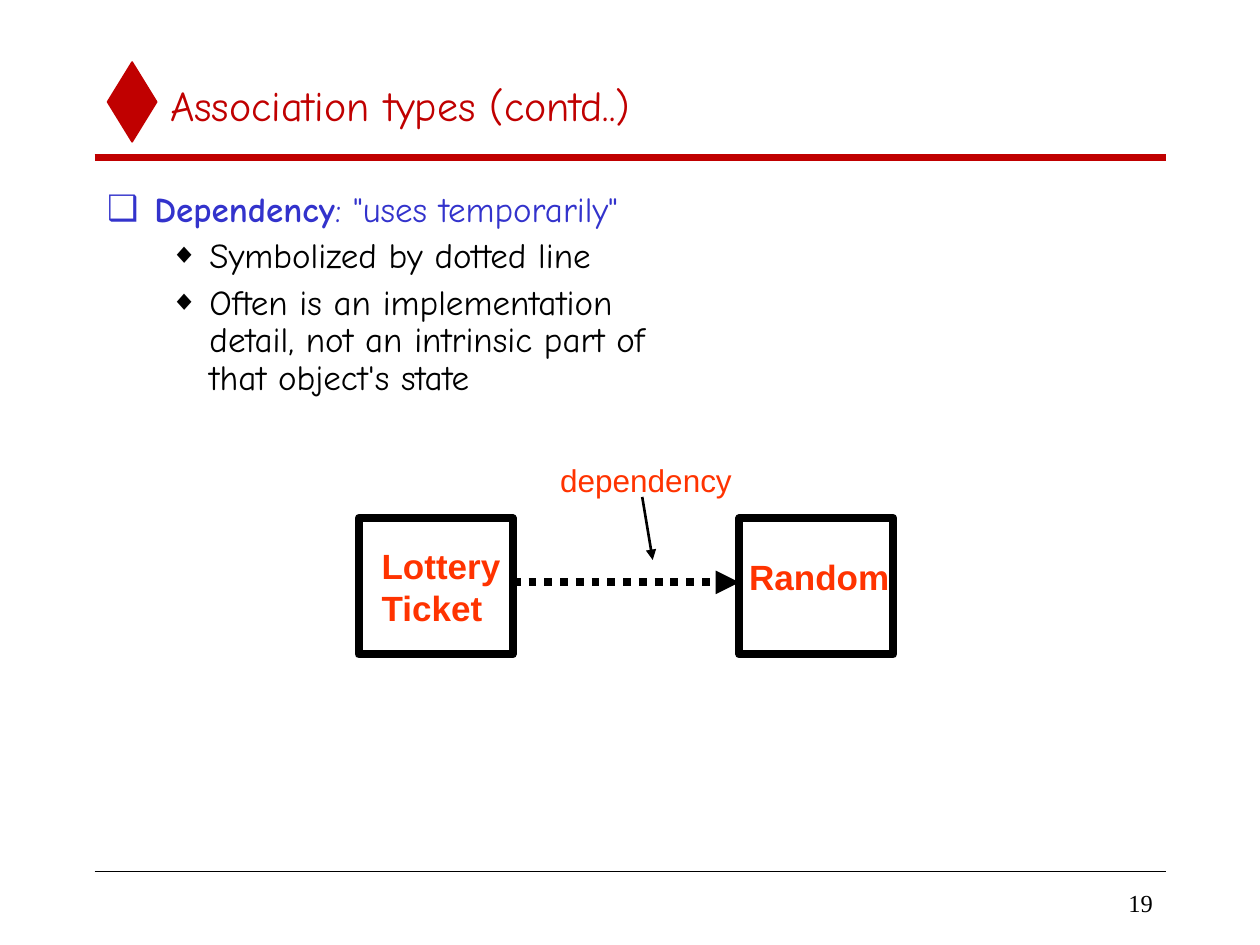
from lxml import etree
from pptx import Presentation
from pptx.dml.color import RGBColor
from pptx.enum.dml import MSO_LINE
from pptx.enum.shapes import MSO_CONNECTOR, MSO_SHAPE
from pptx.enum.text import MSO_ANCHOR, MSO_AUTO_SIZE, PP_ALIGN
from pptx.oxml.ns import qn
from pptx.util import Pt

STRAIGHT = MSO_CONNECTOR.STRAIGHT
DIAMOND, RECTANGLE = MSO_SHAPE.DIAMOND, MSO_SHAPE.RECTANGLE
DOTTED = MSO_LINE.ROUND_DOT
LEFT, RIGHT = PP_ALIGN.LEFT, PP_ALIGN.RIGHT
TOP, MIDDLE = MSO_ANCHOR.TOP, MSO_ANCHOR.MIDDLE
NO_FIT = MSO_AUTO_SIZE.NONE

RED = RGBColor(0xC0, 0x00, 0x00)
BLUE = RGBColor(0x33, 0x33, 0xCC)
ORANGE = RGBColor(0xFF, 0x33, 0x00)
BLACK = RGBColor(0x00, 0x00, 0x00)

TITLE = "Association types (contd..)"
BULLETS = [
    (0, [("Dependency", True), (': "uses temporarily"', False)]),
    (1, [("Symbolized by dotted line", False)]),
    (1, [("Often is an implementation\ndetail, not an intrinsic part of\n"
          "that object's state", False)]),
]
LEVELS = [
    dict(margin=27, hang=27, mark="❑", scale=100, color=BLUE),
    dict(margin=58.5, hang=22.5, mark="◆", scale=80, color=BLACK),
]
PAGE_NUMBER = "19"

CLASS_SIZE = (88, 78)
CLASS_TOP = 296
CLASS_LEFTS = [205, 422.5]
LABELS = [
    ("Lottery\nTicket", (211, 307.5, 91, 55), 20, True),
    ("Random", (421, 314, 102, 32), 20, True),
    ("dependency", (313, 260, 126, 29), 18, False),
]
LINK_Y = 332.8
LINES = [
    dict(start=(54, 90), end=(666, 90), color=RED, width=4),
    dict(start=(54, 498), end=(666, 498), color=BLACK, width=1),
    dict(start=(CLASS_LEFTS[0] + CLASS_SIZE[0], LINK_Y), end=(CLASS_LEFTS[1], LINK_Y),
         color=BLACK, width=4.5, dash=DOTTED, arrow=True),
    dict(start=(367, 284), end=(373, 320), color=BLACK, width=1.5, arrow=True),
]


def place(box, left, top, width, height):
    box.left, box.top, box.width, box.height = map(Pt, (left, top, width, height))


def write(para, text, *, font, size, color, bold=False):
    for index, line in enumerate(text.split("\n")):
        if index:
            para.add_line_break()
        span = para.add_run()
        span.text = line
        span.font.name = font
        span.font.size = Pt(size)
        span.font.bold = bold
        span.font.color.rgb = color


def prepare(box, anchor=TOP, wrap=True):
    frame = box.text_frame
    frame.auto_size = NO_FIT
    frame.word_wrap = wrap
    frame.vertical_anchor = anchor
    return frame


def add_label(page, text, bounds, *, align=LEFT, anchor=TOP, wrap=True, **style):
    box = page.shapes.add_textbox(*map(Pt, bounds))
    para = prepare(box, anchor, wrap).paragraphs[0]
    para.alignment = align
    write(para, text, **style)


def add_line(page, start, end, color, width, dash=None, arrow=False):
    line = page.shapes.add_connector(STRAIGHT, *map(Pt, start + end))
    line.line.color.rgb = color
    line.line.width = Pt(width)
    if dash:
        line.line.dash_style = dash
    if arrow:
        etree.SubElement(line.line._get_or_add_ln(), qn("a:tailEnd"), type="triangle")
    etree.SubElement(line._element.spPr, qn("a:effectLst"))


def add_outline(page, kind, bounds, color, width, filled=False):
    shape = page.shapes.add_shape(kind, *map(Pt, bounds))
    shape.shadow.inherit = False
    if filled:
        shape.fill.solid()
        shape.fill.fore_color.rgb = color
    else:
        shape.fill.background()
    shape.line.color.rgb = color
    shape.line.width = Pt(width)


def set_bullet(para, margin, hang, mark, scale, color):
    props = para._p.get_or_add_pPr()
    props.set("marL", str(Pt(margin)))
    props.set("indent", str(-Pt(hang)))
    tint = etree.SubElement(props, qn("a:buClr"))
    etree.SubElement(tint, qn("a:srgbClr"), val=str(color))
    etree.SubElement(props, qn("a:buSzPct"), val=str(scale * 1000))
    etree.SubElement(props, qn("a:buChar"), char=mark)


def fill_body(body):
    frame = prepare(body)
    for index, (level, spans) in enumerate(BULLETS):
        para = frame.add_paragraph() if index else frame.paragraphs[0]
        para.level = level
        para.line_spacing = 0.9
        para.space_before = Pt(5)
        set_bullet(para, **LEVELS[level])
        for text, bold in spans:
            write(para, text, font="Comic Neue", size=20,
                  color=LEVELS[level]["color"], bold=bold)


def main():
    deck = Presentation()
    deck.slide_width, deck.slide_height = Pt(720), Pt(540)
    page = deck.slides.add_slide(deck.slide_layouts[1])
    title, body = page.placeholders

    add_outline(page, DIAMOND, (61.5, 35.5, 28, 45.5), RED, 1, filled=True)
    place(title, 90, 36, 576, 48)
    heading = prepare(title, MIDDLE).paragraphs[0]
    heading.alignment = LEFT
    write(heading, TITLE, font="Comic Neue", size=24, color=RED)

    place(body, 54, 106, 612, 386)
    fill_body(body)
    add_label(page, PAGE_NUMBER, (564, 504, 102, 24), align=RIGHT, anchor=MIDDLE,
              wrap=False, font="Times New Roman", size=14, color=BLACK)

    for left in CLASS_LEFTS:
        add_outline(page, RECTANGLE, (left, CLASS_TOP, *CLASS_SIZE), BLACK, 4.5)
    for line in LINES:
        add_line(page, **line)
    for text, bounds, size, bold in LABELS:
        add_label(page, text, bounds, font="Arial", size=size, color=ORANGE, bold=bold)

    deck.save("out.pptx")


if __name__ == "__main__":
    main()
